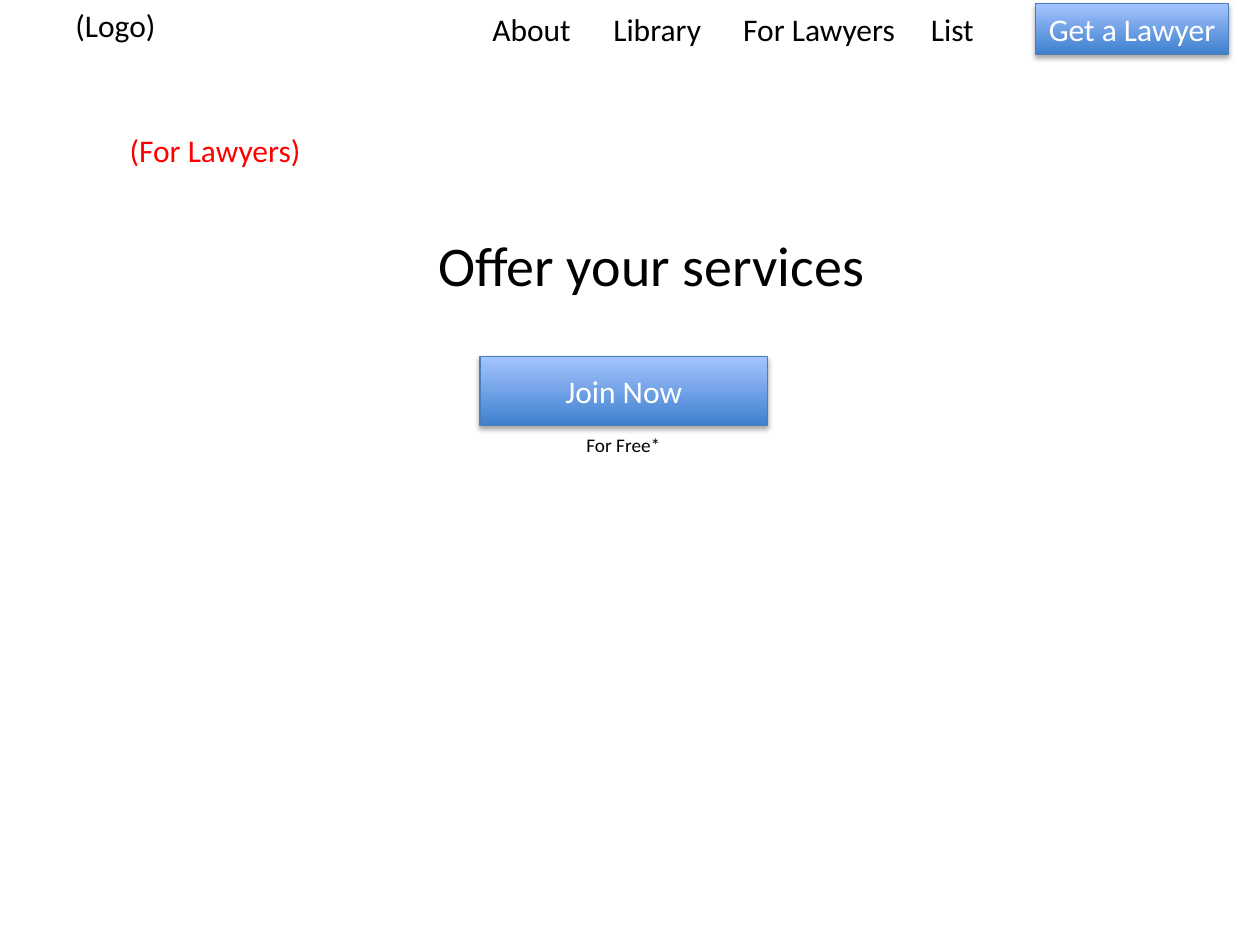
from lxml.etree import SubElement
from pptx import Presentation
from pptx.dml.color import RGBColor
from pptx.enum.shapes import MSO_SHAPE
from pptx.enum.text import MSO_ANCHOR, PP_ALIGN
from pptx.oxml import parse_xml
from pptx.oxml.ns import nsdecls, qn
from pptx.util import Inches, Pt

BLACK = RGBColor(0x00, 0x00, 0x00)
WHITE = RGBColor(0xFF, 0xFF, 0xFF)
RED = RGBColor(0xFF, 0x00, 0x00)
BLUE_DARK = RGBColor(0x3F, 0x80, 0xCE)
BLUE_LIGHT = RGBColor(0xA4, 0xC4, 0xFF)
BLUE_LINE = RGBColor(0x4B, 0x7E, 0xBC)
FONT = "Calibri"
ROW = 0.4
NAV_ITEMS = ["About", "Library", "For Lawyers", "List"]
NAV_TABS = [0.96, 1.99, 3.48]


def format_text(sp, text, size, color, align=PP_ALIGN.LEFT):
    tf = sp.text_frame
    tf.text = text
    p = tf.paragraphs[0]
    p.alignment = align
    for r in p.runs:
        r.font.name = FONT
        r.font.size = Pt(size)
        r.font.color.rgb = color
    return p


def add_label(slide, box, text, size=18, color=BLACK):
    sp = slide.shapes.add_textbox(*map(Inches, box))
    sp.text_frame.word_wrap = False
    return format_text(sp, text, size, color)


def add_shadow(sp):
    sp._element.spPr.append(parse_xml(
        f'<a:effectLst {nsdecls("a")}>'
        f'<a:outerShdw blurRad="{Pt(3.1)}" dist="{Pt(1.8)}" dir="5400000" rotWithShape="0">'
        '<a:srgbClr val="000000"><a:alpha val="35000"/></a:srgbClr>'
        '</a:outerShdw></a:effectLst>'))


def add_button(slide, box, text):
    sp = slide.shapes.add_shape(MSO_SHAPE.RECTANGLE, *map(Inches, box))
    sp.fill.gradient()
    sp.fill.gradient_angle = 90
    for stop, color in zip(sp.fill.gradient_stops, (BLUE_DARK, BLUE_LIGHT)):
        stop.color.rgb = color
    sp.line.color.rgb = BLUE_LINE
    sp.line.width = Pt(0.75)
    add_shadow(sp)
    sp.text_frame.vertical_anchor = MSO_ANCHOR.MIDDLE
    format_text(sp, text, 18, WHITE, PP_ALIGN.CENTER)


def add_tabs(p, stops):
    tabs = SubElement(p._p.get_or_add_pPr(), qn("a:tabLst"))
    for stop in stops:
        SubElement(tabs, qn("a:tab"), pos=str(Inches(stop)), algn="l")


def add_header(slide, left, top, width):
    add_label(slide, (left, top, 1.21, ROW), "(Logo)")
    nav_top = top + 0.03
    nav = add_label(slide, (left + 3.31, nav_top, 4.07, ROW), "\t".join(NAV_ITEMS))
    add_tabs(nav, NAV_TABS)
    button_width = 1.53
    add_button(slide, (left + width - button_width, nav_top, button_width, ROW), "Get a Lawyer")


def add_offer(slide, left, top, width):
    title = slide.shapes.title
    title.left, title.top, title.width, title.height = map(
        Inches, (left - 0.43, top, 3.8, 0.65))
    title.text_frame.vertical_anchor = MSO_ANCHOR.TOP
    format_text(title, "Offer your services", 32, BLACK)
    button_top, button_height = top + 1.05, 0.55
    add_button(slide, (left, button_top, width, button_height), "Join Now")
    note_width = 0.79
    add_label(slide, (left + (width - note_width) / 2, button_top + button_height + 0.01,
                      note_width, 0.29), "For Free*", 11)


prs = Presentation()
prs.slide_width, prs.slide_height = Inches(10), Inches(7.5)
slide = prs.slides.add_slide(prs.slide_layouts[5])
add_header(slide, 0.5, 0, 9.25)
add_label(slide, (0.93, 0.99, 1.57, ROW), "(For Lawyers)", color=RED)
add_offer(slide, 3.81, 1.78, 2.28)
prs.save("out.pptx")
